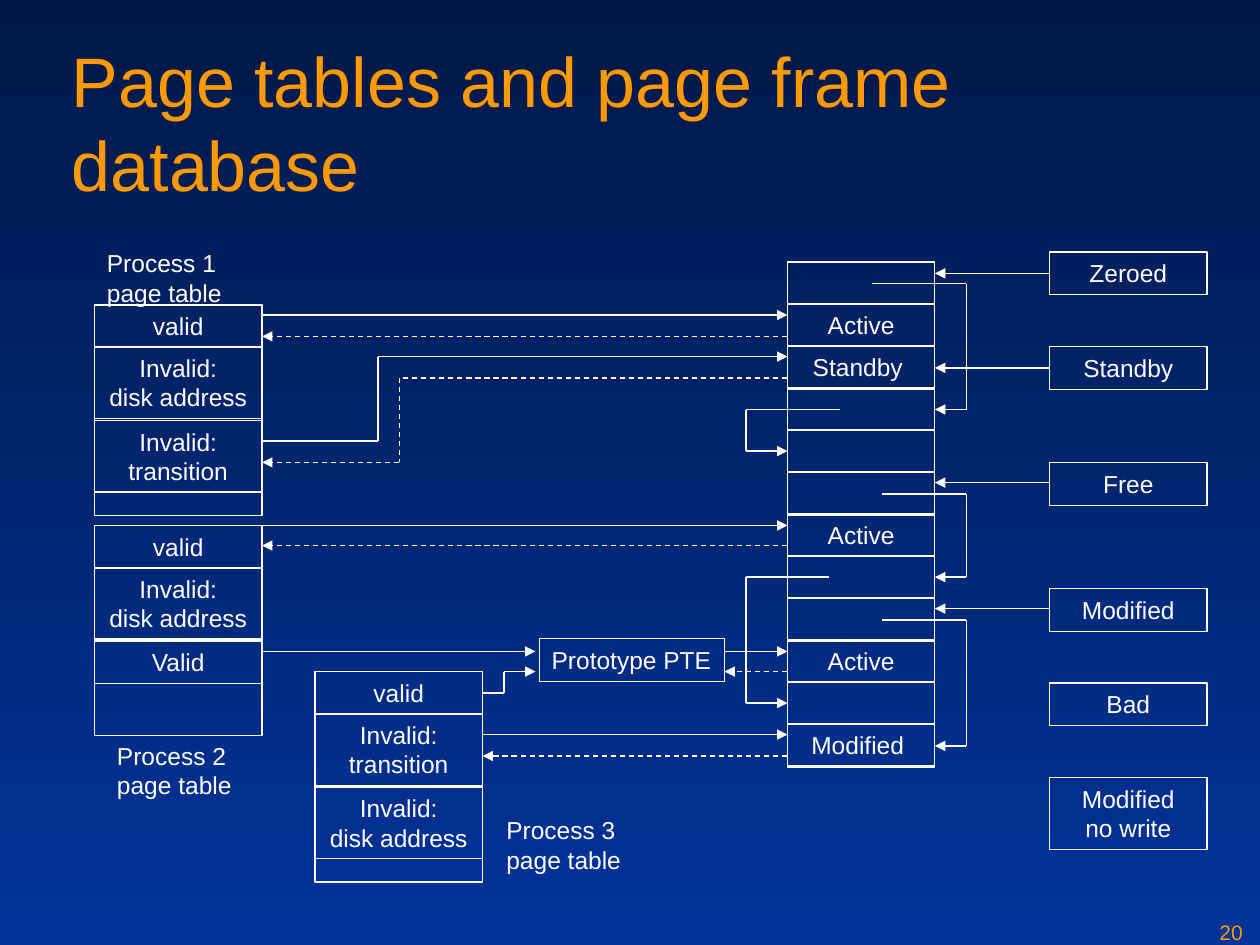
from dataclasses import dataclass
from itertools import pairwise

from lxml.etree import SubElement
from pptx import Presentation
from pptx.dml.color import RGBColor
from pptx.enum.dml import MSO_LINE_DASH_STYLE as Dash
from pptx.enum.shapes import MSO_CONNECTOR as Connector, MSO_SHAPE as Shape
from pptx.enum.text import MSO_ANCHOR as Anchor, PP_ALIGN as Align
from pptx.oxml.ns import qn
from pptx.util import Inches, Pt

WHITE, ORANGE = "FFFFFF", "FE9900"
ROW_PITCH = 1 / 3
CELL_HEIGHTS = {1: 0.34, 2: 0.57}
CELL_PITCHES = {1: ROW_PITCH, 2: 7 / 12}
FRAME_LEFT, FRAME_TOP, FRAME_WIDTH = 6.25, 2.08, 1.17
FRAME_RIGHT = FRAME_LEFT + FRAME_WIDTH
LIST_LEFT, LIST_WIDTH = 8.33, 1.25


@dataclass(frozen=True)
class PageTable:
    left: float
    top: float
    entries: tuple[str, ...]
    caption: str
    caption_left: float
    caption_top: float


@dataclass(frozen=True)
class FrameList:
    name: str
    top: float
    arrow_y: float | None = None


@dataclass(frozen=True)
class Route:
    points: tuple[tuple[float, float], ...]
    dashed: bool = False


PAGE_TABLES = (
    PageTable(0.75, 2.42, ("valid", "Invalid:\ndisk address", "Invalid:\ntransition"),
              "Process 1\npage table", 0.75, 1.92),
    PageTable(0.75, 4.17, ("valid", "Invalid:\ndisk address", "Valid"),
              "Process 2\npage table", 0.83, 5.83),
    PageTable(2.5, 5.33, ("valid", "Invalid:\ntransition", "Invalid:\ndisk address"),
              "Process 3\npage table", 3.92, 6.42),
)

FRAMES = ("", "Active", "Standby ", "", "", "", "Active", "", "", "Active", "", "Modified ")

FRAME_LISTS = (
    FrameList("Zeroed", 2, 2.17),
    FrameList("Standby", 2.75, 2.92),
    FrameList("Free", 3.67, 3.83),
    FrameList("Modified", 4.67, 4.83),
    FrameList("Bad", 5.42),
    FrameList("Modified\nno write", 6.17),
)

ROUTES = (
    Route(((2.08, 2.5), (FRAME_LEFT, 2.5))),
    Route(((FRAME_LEFT, 2.67), (2.08, 2.67)), dashed=True),
    Route(((2.08, 3.5), (3, 3.5), (3, 2.83), (FRAME_LEFT, 2.83))),
    Route(((FRAME_LEFT, 3), (3.17, 3), (3.17, 3.67), (2.08, 3.67)), dashed=True),
    Route(((2.08, 4.17), (FRAME_LEFT, 4.17))),
    Route(((FRAME_LEFT, 4.33), (2.08, 4.33)), dashed=True),
    Route(((2.08, 5.17), (4.25, 5.17))),
    Route(((3.83, 5.5), (4, 5.5), (4, 5.33), (4.25, 5.33))),
    Route(((5.75, 5.17), (FRAME_LEFT, 5.17))),
    Route(((FRAME_LEFT, 5.33), (5.75, 5.33)), dashed=True),
    Route(((3.83, 5.83), (FRAME_LEFT, 5.83))),
    Route(((FRAME_LEFT, 6), (3.83, 6)), dashed=True),
    Route(((6.92, 2.25), (7.67, 2.25), (7.67, 3.25), (FRAME_RIGHT, 3.25))),
    Route(((6.67, 3.25), (5.92, 3.25), (5.92, 3.58), (FRAME_LEFT, 3.58))),
    Route(((7, 3.92), (7.67, 3.92), (7.67, 4.58), (FRAME_RIGHT, 4.58))),
    Route(((6.58, 4.58), (5.92, 4.58), (5.92, 5.58), (FRAME_LEFT, 5.58))),
    Route(((7, 4.92), (7.67, 4.92), (7.67, 5.92), (FRAME_RIGHT, 5.92))),
)


def color(value: str) -> RGBColor:
    return RGBColor.from_string(value)


def write(shape, text: str, *, size: float = 14, fill: str = WHITE, align=Align.LEFT,
          wrap: bool = True, inset_x: float = 0.1, inset_y: float = 0.05) -> None:
    frame = shape.text_frame
    frame.word_wrap = wrap
    frame.vertical_anchor = Anchor.TOP
    frame.margin_left = frame.margin_right = Inches(inset_x)
    frame.margin_top = frame.margin_bottom = Inches(inset_y)
    paragraph = frame.paragraphs[0]
    paragraph.text = text.replace("\n", "\v")
    paragraph.alignment = align
    paragraph.line_spacing = Pt(size * 1.2)
    for run in paragraph.runs:
        run.font.name = "Arial"
        run.font.size = Pt(size)
        run.font.color.rgb = color(fill)


def add_label(slide, text: str, left: float, top: float, width: float, height: float,
              **text_format) -> None:
    box = slide.shapes.add_textbox(Inches(left), Inches(top), Inches(width), Inches(height))
    write(box, text, **text_format)


def add_box(slide, left: float, top: float, width: float, height: float,
            text: str = "", **text_format) -> None:
    box = slide.shapes.add_shape(
        Shape.RECTANGLE, Inches(left), Inches(top), Inches(width), Inches(height))
    box.shadow.inherit = False
    box.fill.background()
    box.line.color.rgb = color(WHITE)
    box.line.width = Pt(0.75)
    if text:
        write(box, text, **{"align": Align.CENTER, **text_format})


def add_route(slide, route: Route) -> None:
    segments = list(pairwise(route.points))
    for index, (start, end) in enumerate(segments, 1):
        connector = slide.shapes.add_connector(
            Connector.STRAIGHT, *(Inches(value) for value in (*start, *end)))
        connector.line.color.rgb = color(WHITE)
        connector.line.width = Pt(0.75)
        if route.dashed:
            connector.line.dash_style = Dash.DASH
        if index == len(segments):
            SubElement(connector.line._get_or_add_ln(), qn("a:tailEnd"), type="triangle")
        SubElement(connector._element.spPr, qn("a:effectLst"))


def add_page_table(slide, table: PageTable) -> None:
    add_box(slide, table.left, table.top, 1.33, 1.67)
    top = table.top
    for entry in table.entries:
        lines = entry.count("\n") + 1
        add_box(slide, table.left, top, 1.33, CELL_HEIGHTS[lines], entry)
        top += CELL_PITCHES[lines]
    add_label(slide, table.caption, table.caption_left, table.caption_top, 1.12, 0.57,
              wrap=False)


def add_frame_database(slide) -> None:
    add_box(slide, FRAME_LEFT, FRAME_TOP, FRAME_WIDTH, 4)
    for row, state in enumerate(FRAMES):
        add_box(slide, FRAME_LEFT, FRAME_TOP + row * ROW_PITCH, FRAME_WIDTH,
                CELL_HEIGHTS[1], state)


def add_frame_list(slide, item: FrameList) -> None:
    height = CELL_HEIGHTS[item.name.count("\n") + 1]
    add_box(slide, LIST_LEFT, item.top, LIST_WIDTH, height, item.name)
    if item.arrow_y is not None:
        add_route(slide, Route(((LIST_LEFT, item.arrow_y), (FRAME_RIGHT, item.arrow_y))))


def paint_background(slide) -> None:
    fill = slide.background.fill
    fill.gradient()
    fill.gradient_angle = 270
    for stop, value in zip(fill.gradient_stops, ("001847", "003399")):
        stop.color.rgb = color(value)


def main() -> None:
    """Build the slide on page tables and the page frame database."""
    presentation = Presentation()
    presentation.slide_width, presentation.slide_height = Inches(10), Inches(7.5)
    slide = presentation.slides.add_slide(presentation.slide_layouts[6])
    paint_background(slide)
    add_label(slide, "20", 9.58, 7.25, 0.42, 0.25, size=12, fill=ORANGE)
    add_label(slide, "Page tables and page frame database", 0.5, 0.24, 9, 1.25,
              size=40, fill=ORANGE, inset_x=0.07, inset_y=0.06)
    for table in PAGE_TABLES:
        add_page_table(slide, table)
    add_box(slide, 4.28, 5.07, 1.47, CELL_HEIGHTS[1], "Prototype PTE",
            align=Align.LEFT, wrap=False)
    add_frame_database(slide)
    for item in FRAME_LISTS:
        add_frame_list(slide, item)
    for route in ROUTES:
        add_route(slide, route)
    presentation.save("out.pptx")


if __name__ == "__main__":
    main()
